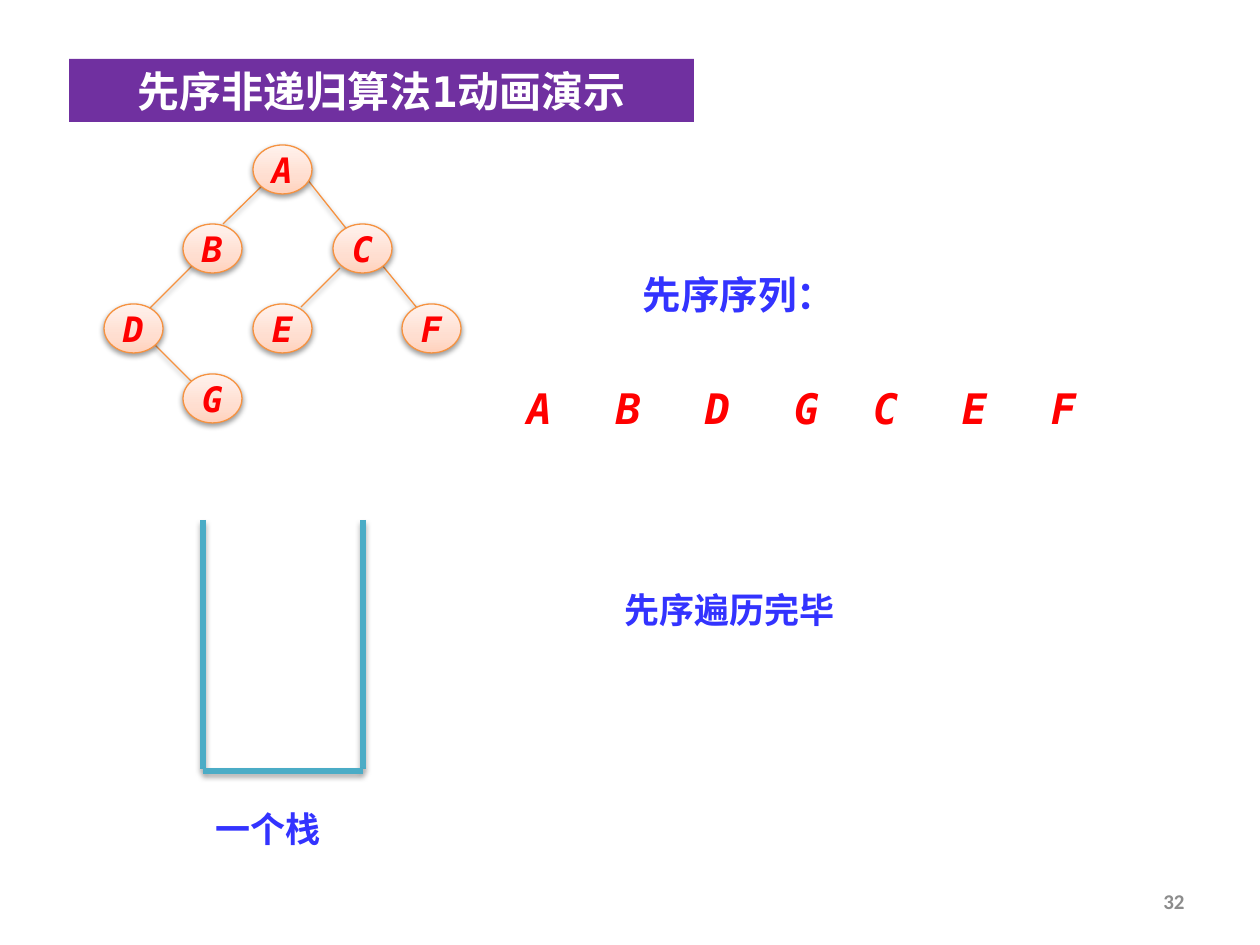
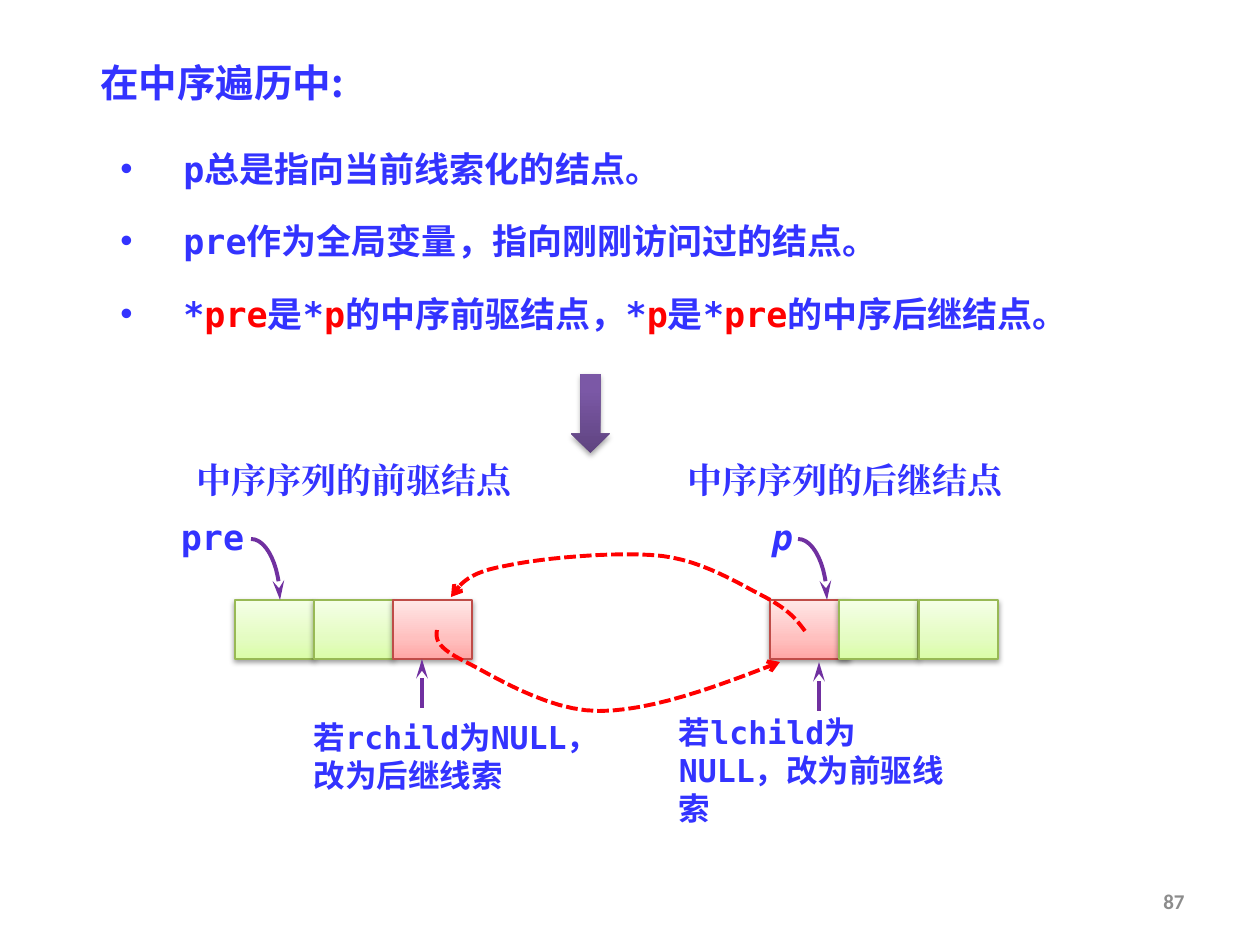
from lxml import etree
from pptx import Presentation, util as u
from pptx.dml.color import RGBColor
from pptx.enum import dml, shapes, text
from pptx.oxml.ns import qn

# ---- Shared look ----
PX = 914400 / 126
HUE = dict(blue="3333FF", red="FF0000", white="FFFFFF", band="7030A0",
           grey="8C8C8C", orange="F69240", teal="4BACC6",
           green="98B955", brick="BF4C48")
GRAD = dict(
    orange=[(0, "FFD2BD"), (35, "FFDED0"), (100, "FFF2ED")],
    green=[(0, "DAFDA7"), (35, "E4FCC2"), (100, "F5FFE7")],
    brick=[(0, "FFA6A5"), (35, "FFC0BF"), (100, "FFE7E7")],
    purple=[(0, "5F4480"), (80, "7B58A6"), (100, "7C57A8")])
MONO, SANS, SERIF = "DejaVu Sans Mono", "Noto Sans CJK SC", "Times New Roman"
ALIGN = dict(l=text.PP_ALIGN.LEFT, c=text.PP_ALIGN.CENTER,
             r=text.PP_ALIGN.RIGHT, j=text.PP_ALIGN.JUSTIFY)
SOFT, DEEP = (38, 1.6), (35, 1.8)  # shadow opacity and distance
NUM = (903, 876, 294, 50)

# ---- Slide 1 content: preorder with a stack ----
NODES = dict(A=(253, 145), B=(183, 224), C=(333, 224), D=(104, 304),
             E=(253, 304), F=(402, 304), G=(183, 374))
EDGES = [(154, 344, 193, 383), (263, 185, 223, 224), (307, 179, 349, 232),
         (193, 265, 144, 314), (340, 268, 301, 307), (382, 265, 422, 314)]
STACK = [(203, 520, 203, 769), (363, 520, 363, 769), (203, 771, 363, 771)]
ORDER = [("ABDG", 510), ("CEF", 856)]
NOTES = [("一个栈", (203, 801, 159, 55), 20, "l"),
         ("先序序列：", (620, 265, 238, 59), 22, "c"),
         ("先序遍历完毕", (541, 582, 377, 55), 20, "c")]

# ---- Slide 2 content: inorder threads ----
RULES = [
    [("p总是指向当前线索化的结点。", "blue")],
    [("pre作为全局变量，指向刚刚访问过的结点。", "blue")],
    [("*", "blue"), ("pre", "red"), ("是*", "blue"), ("p", "red"),
     ("的中序前驱结点，*", "blue"), ("p", "red"), ("是*", "blue"),
     ("pre", "red"), ("的中序后继结点。", "blue")]]
SIDES = [
    dict(head="中序序列的前驱结点", hx=184, name="pre", nx=168, ital=False,
         cells=[(235, "green"), (314, "green"), (393, "brick")], hook=251,
         up=(422, 708, 422, 659), note="若rchild为NULL，改为后继线索",
         box=(314, 718, 287, 77)),
    dict(head="中序序列的后继结点", hx=675, name="p", nx=738, ital=True,
         cells=[(770, "brick"), (839, "green"), (919, "green")], hook=798,
         up=(819, 711, 819, 662), note="若lchild为NULL，改为前驱线索",
         box=(679, 713, 275, 77))]
HOOK = [(0, 539), (16, 539), (29, 567), (29, 600)]
THREADS = [
    [(437, 630), (436, 638), (435, 646), (462, 660), (489, 673), (546, 711),
     (599, 711), (651, 711), (716, 687), (780, 662)],
    [(805, 631), (796, 619), (789, 610), (765, 597), (741, 585), (704, 561),
     (662, 556), (619, 551), (541, 558), (505, 566), (471, 572), (461, 582),
     (451, 597)]]


def emu(*vals):
    return [round(v * PX) for v in vals]


def rgb(key):
    return RGBColor.from_string(HUE[key])


def put(parent, tag, **attrs):
    return etree.SubElement(parent, qn("a:" + tag),
                            {k: str(v) for k, v in attrs.items()})


def stroke(shp, hue, width, tip=None, dash=None):
    shp.line.color.rgb = rgb(hue)
    shp.line.width = u.Pt(width)
    if dash:
        shp.line.dash_style = dash
    if tip:
        size = "lg" if tip == "stealth" else "med"
        put(shp.line._get_or_add_ln(), "tailEnd", type=tip, w="med", len=size)


def shade(shp, cast=None):
    """Set the effect list; cast is (opacity, distance) or nothing."""
    fx = put(shp._element.spPr, "effectLst")
    if cast:
        drop = put(fx, "outerShdw", blurRad=u.Pt(3.1), dist=u.Pt(cast[1]),
                   dir=5400000, rotWithShape=0)
        put(put(drop, "srgbClr", val="000000"), "alpha", val=cast[0] * 1000)


def line(sld, ends, hue, width, tip=None, cast=None):
    con = sld.shapes.add_connector(shapes.MSO_CONNECTOR.STRAIGHT, *emu(*ends))
    stroke(con, hue, width, tip)
    shade(con, cast)


def form(sld, kind, box, grad, hue=None, cast=SOFT):
    shp = sld.shapes.add_shape(kind, *emu(*box))
    shp.fill.gradient()
    fill = shp._element.spPr.find(qn("a:gradFill"))
    for kid in list(fill):
        fill.remove(kid)
    stops = put(fill, "gsLst")
    for pos, col in GRAD[grad]:
        put(put(stops, "gs", pos=pos * 1000), "srgbClr", val=col)
    put(fill, "lin", ang=16200000, scaled=0)
    if hue:
        stroke(shp, hue, 0.75)
    else:
        shp.line.fill.background()
    shade(shp, cast)
    return shp


def curve(sld, pts, hue, tip, dash=None, steps=12):
    """Draw chained cubic curves through pts as a fine open outline."""
    path = []
    for i in range(0, len(pts) - 1, 3):
        for n in range(1, steps + 1):
            t = n / steps
            mix = ((1 - t)**3, 3 * t * (1 - t)**2, 3 * t * t * (1 - t), t**3)
            path.append(emu(*(sum(m * p[a] for m, p in zip(mix, pts[i:i + 4]))
                              for a in (0, 1))))
    pen = sld.shapes.build_freeform(*emu(*pts[0]))
    pen.add_line_segments(path, close=False)
    shp = pen.convert_to_shape()
    shp.fill.background()
    stroke(shp, hue, 2.25, tip, dash)
    shade(shp)


def write(shp, paras, size=20, hue="blue", font=MONO, bold=True, ital=False,
          al="l", mid=False, pad=True, wrap=True, lead=None, gap=0,
          bullet=None):
    """Fill a shape with text; paras is a string or lists of (text, hue)."""
    tf = shp.text_frame
    tf.word_wrap = wrap
    tf.auto_size = text.MSO_AUTO_SIZE.NONE
    tf.vertical_anchor = text.MSO_ANCHOR.MIDDLE if mid else text.MSO_ANCHOR.TOP
    if not pad:
        tf.margin_left = tf.margin_right = tf.margin_top = tf.margin_bottom = 0
    if isinstance(paras, str):
        paras = [[(paras, hue)]]
    for i, runs in enumerate(paras):
        par = tf.add_paragraph() if i else tf.paragraphs[0]
        par.alignment = ALIGN[al]
        if lead:
            par.line_spacing = lead
        if gap and i:
            par.space_before = u.Pt(gap)
        if bullet:
            ppr = par._p.get_or_add_pPr()
            ppr.set("marL", str(u.Inches(0.5)))
            ppr.set("indent", str(-u.Inches(0.5)))
            put(ppr, "buFont", typeface="Arial")
            put(ppr, "buChar", char=bullet)
        for words, col in runs:
            run = par.add_run()
            run.text = words
            f = run.font
            f.size, f.bold, f.italic, f.name = u.Pt(size), bold, ital, font
            f.color.rgb = rgb(col)
            put(run._r.get_or_add_rPr(), "ea", typeface=font)


def label(sld, box, paras, **fmt):
    write(sld.shapes.add_textbox(*emu(*box)), paras, **fmt)


def start(prs, name, box, num, **fmt):
    """Add a slide with its title and page number."""
    sld = prs.slides.add_slide(prs.slide_layouts[5])
    head = sld.shapes.title
    head.left, head.top, head.width, head.height = emu(*box)
    write(head, name, **fmt)
    label(sld, NUM, num, size=12, hue="grey", font="Calibri", al="r", mid=True)
    return sld


def tree(prs):
    sld = start(prs, "先序非递归算法1动画演示", (69, 59, 625, 63), "32",
                size=24, hue="white", al="c")
    band = sld.shapes.title.fill
    band.solid()
    band.fore_color.rgb = rgb("band")
    # Tree
    for ends in EDGES:
        line(sld, ends, "orange", 0.75, cast=SOFT)
    for key, (x, y) in NODES.items():
        node = form(sld, shapes.MSO_SHAPE.OVAL, (x, y, 59, 49),
                    "orange", "orange")
        write(node, key, hue="red", ital=True, al="c", mid=True, pad=False,
              wrap=False)
    # Stack
    for ends in STACK:
        line(sld, ends, "teal", 3, cast=DEEP)
    # Visit order and notes
    for keys, x in ORDER:
        for i, key in enumerate(keys):
            label(sld, (x + 89 * i, 383, 59, 50), key, size=24, hue="red",
                  ital=True, al="c", pad=False)
    for words, box, size, al in NOTES:
        label(sld, box, words, size=size, al=al)


def thread(prs):
    sld = start(prs, "在中序遍历中:", (88, 39, 501, 64), "87", size=22,
                font=SANS, al="j", lead=1.3)
    label(sld, (108, 129, 1043, 220), RULES, al="j", lead=1.3, gap=10,
          bullet="•")
    form(sld, shapes.MSO_SHAPE.DOWN_ARROW, (571, 374, 39, 79), "purple",
         cast=DEEP)
    # Predecessor and successor nodes
    for s in SIDES:
        label(sld, (s["hx"], 452, 377, 54), s["head"], font=SERIF)
        for x, hue in s["cells"]:
            form(sld, shapes.MSO_SHAPE.RECTANGLE, (x, 600, 79, 59), hue, hue)
        curve(sld, [(s["hook"] + x, y) for x, y in HOOK], "band", "stealth")
        label(sld, (s["nx"], 515, 89, 42), s["name"], ital=s["ital"], al="c",
              pad=False)
        line(sld, s["up"], "band", 2.25, "stealth")
        label(sld, s["box"], s["note"], size=18, pad=False)
    # Thread links
    for pts in THREADS:
        curve(sld, pts, "red", "arrow", dml.MSO_LINE.SQUARE_DOT)


def main():
    prs = Presentation()
    prs.slide_width, prs.slide_height = u.Inches(10), u.Inches(7.5)
    tree(prs)
    thread(prs)
    prs.save("out.pptx")


if __name__ == "__main__":
    main()
